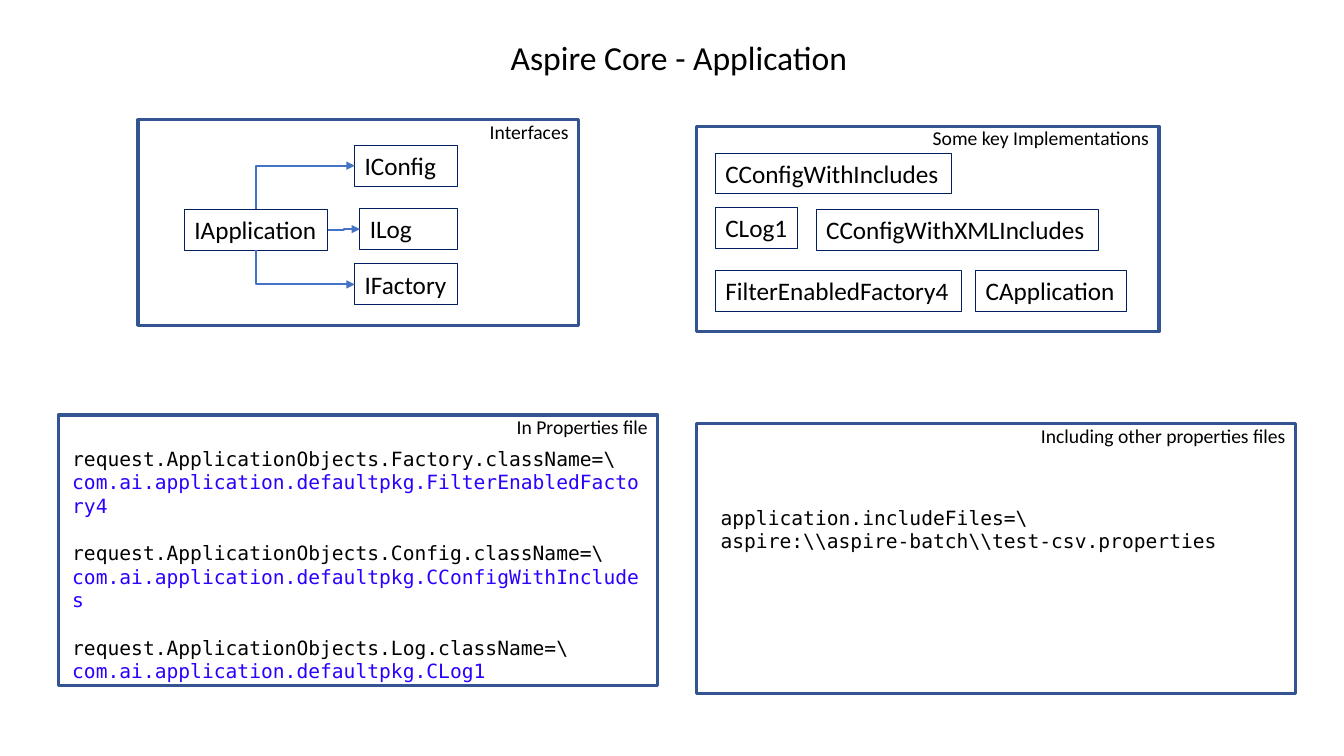
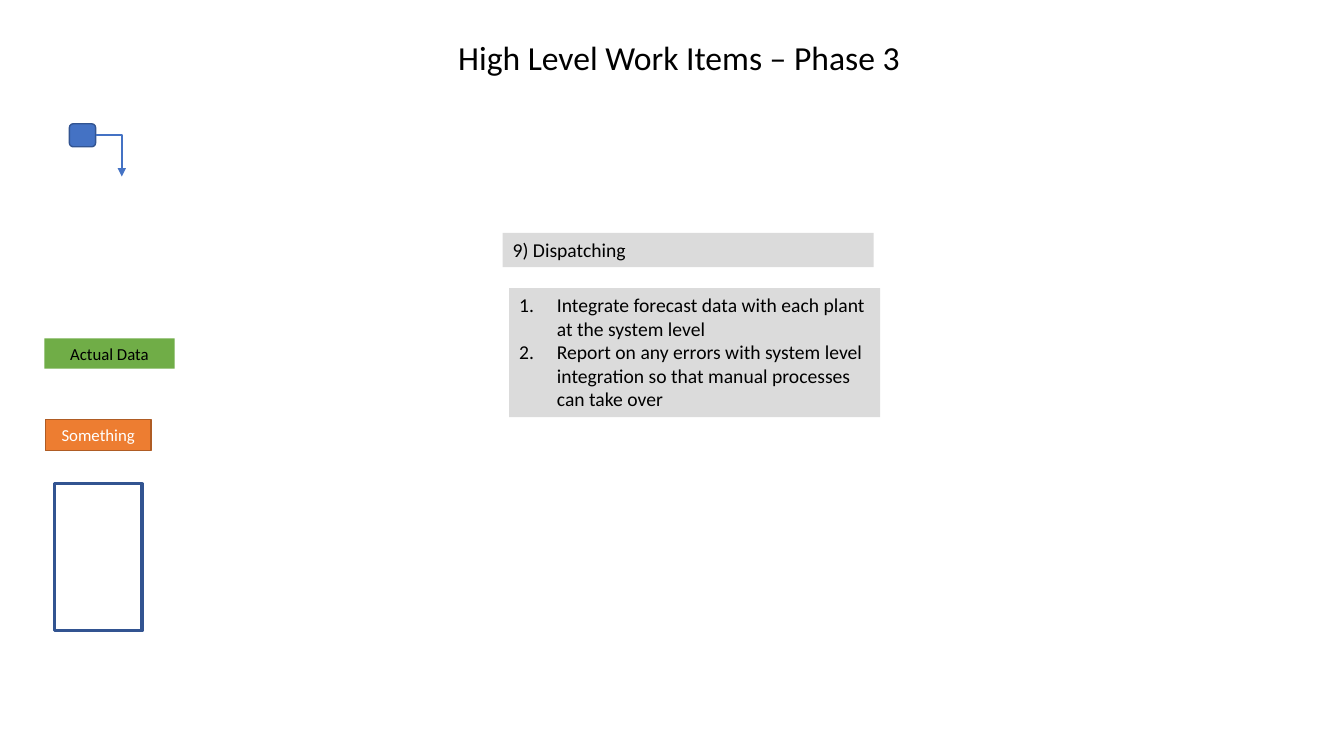
"""Build two slides: an application overview and the work items of phase 3."""
import dataclasses
import itertools

import pptx
import pptx.dml.color
import pptx.enum.shapes
import pptx.enum.text
import pptx.oxml.ns
import pptx.util
from lxml import etree

Cm, Pt = pptx.util.Cm, pptx.util.Pt
Align = pptx.enum.text.PP_ALIGN
Anchor = pptx.enum.text.MSO_ANCHOR
AutoSize = pptx.enum.text.MSO_AUTO_SIZE
Preset = pptx.enum.shapes.MSO_SHAPE
qn = pptx.oxml.ns.qn
TOP, LEFT, BOTTOM, RIGHT = range(4)


@dataclasses.dataclass(frozen=True)
class Theme:
    """Colours, fonts, type sizes and line widths of the deck."""
    ink: str = "000000"
    paper: str = "FFFFFF"
    frame: str = "325491"
    label: str = "002060"
    accent: str = "4472C4"
    code: str = "2A00FF"
    panel: str = "DBDBDB"
    green: str = "70AD47"
    orange: str = "ED7D31"
    rust: str = "AF5C24"
    sans: str = "Calibri"
    mono: str = "DejaVu Sans Mono"
    title_size: int = 24
    label_size: int = 18
    body_size: int = 14
    tag_size: int = 12
    frame_width: float = 2.25
    arrow_width: float = 1.5
    tag_width: float = 1
    label_width: float = 0.75


THEME = Theme()


def rgb(color):
    """Turn a hex string into a colour."""
    return pptx.dml.color.RGBColor.from_string(color)


def write_text(shape, text, *, size=THEME.body_size, colors=(THEME.ink,), font=THEME.sans,
               align=Align.LEFT, anchor=Anchor.TOP, wrap=True, grow=True):
    """Write one paragraph per line, cycling through the colours, and return the paragraphs."""
    frame = shape.text_frame
    frame.text = text
    frame.word_wrap = wrap
    frame.vertical_anchor = anchor
    frame.auto_size = AutoSize.SHAPE_TO_FIT_TEXT if grow else AutoSize.NONE
    for paragraph, color in zip(frame.paragraphs, itertools.cycle(colors)):
        paragraph.alignment = align
        paragraph.space_before = Pt(0)
        for run in paragraph.runs:
            run.font.name = font
            run.font.size = Pt(size)
            run.font.color.rgb = rgb(color)
    return frame.paragraphs


def place(shape, *box):
    """Move and size a shape, in centimetres."""
    shape.left, shape.top, shape.width, shape.height = map(Cm, box)


def add_box(slide, box, *, fill=None, line=None, width=THEME.tag_width, preset=Preset.RECTANGLE):
    """Add a preset shape with an optional fill and outline."""
    shape = slide.shapes.add_shape(preset, *map(Cm, box))
    shape.shadow.inherit = False
    if fill:
        shape.fill.solid()
        shape.fill.fore_color.rgb = rgb(fill)
    else:
        shape.fill.background()
    if line:
        shape.line.color.rgb = rgb(line)
        shape.line.width = Pt(width)
    else:
        shape.line.fill.background()
    return shape


def add_frame(slide, box, caption="", fill=None):
    """Add an outlined area with its caption at the top right."""
    frame = add_box(slide, box, fill=fill, line=THEME.frame, width=THEME.frame_width)
    if caption:
        frame.text_frame.margin_top = 0
        write_text(frame, caption, align=Align.RIGHT, grow=False)


def add_label(slide, name, left, top, width, wrap=False):
    """Add an outlined box with the name of a type."""
    label = add_box(slide, (left, top, width, 1.03), line=THEME.label, width=THEME.label_width)
    write_text(label, name, size=THEME.label_size, wrap=wrap)
    return label


def add_code(slide, box, text, colors=(THEME.ink,)):
    """Add a monospaced text block and return its paragraphs."""
    block = slide.shapes.add_textbox(*map(Cm, box))
    return write_text(block, text, font=THEME.mono, colors=colors)


def add_elbow(slide, source, site, *, target=None, end=(0, 0), corner=True):
    """Add a bent arrow from a shape to a target's left side or to a free point."""
    arrow = slide.shapes.add_connector(
        pptx.enum.shapes.MSO_CONNECTOR.ELBOW, 0, 0, *map(Cm, end))
    arrow.begin_connect(source, site)
    if target is not None:
        arrow.end_connect(target, LEFT)
    properties = arrow.line._get_or_add_ln().getparent()
    if corner:
        properties.find(qn("a:prstGeom")).set("prst", "bentConnector2")
    if site in (TOP, BOTTOM):
        turn_quarter(arrow)
        properties.find(qn("a:xfrm")).set("rot", str(90 * 60000))
    arrow.line.color.rgb = rgb(THEME.accent)
    arrow.line.width = Pt(THEME.arrow_width)
    etree.SubElement(properties.find(qn("a:ln")), qn("a:tailEnd"), type="triangle")
    etree.SubElement(properties, qn("a:effectLst"))


def turn_quarter(arrow):
    """Turn the ends a quarter back about their centre, so that a rotation restores them."""
    begin, end = (arrow.begin_x, arrow.begin_y), (arrow.end_x, arrow.end_y)
    center_x, center_y = ((a + b) // 2 for a, b in zip(begin, end))
    arrow.begin_x = center_x + begin[1] - center_y
    arrow.begin_y = center_y - begin[0] + center_x
    arrow.end_x = center_x + end[1] - center_y
    arrow.end_y = center_y - end[0] + center_x


def number_items(paragraphs):
    """Give paragraphs automatic numbers and a hanging indent."""
    indent = Cm(0.95)
    for paragraph in paragraphs:
        properties = paragraph._p.get_or_add_pPr()
        properties.set("marL", str(indent))
        properties.set("indent", str(-indent))
        etree.SubElement(properties, qn("a:buFont"), typeface="+mj-lt")
        etree.SubElement(properties, qn("a:buAutoNum"), type="arabicPeriod")


def add_slide(deck, layout, title, title_width):
    """Add a slide with the shared title style."""
    slide = deck.slides.add_slide(deck.slide_layouts.get_by_name(layout))
    heading = slide.shapes.title
    place(heading, 17.11 - title_width / 2, 0.81, title_width, 1.27)
    write_text(heading, title, size=THEME.title_size, align=Align.CENTER, wrap=False)
    return slide


def build_application(deck):
    """Build the slide on interfaces, implementations and properties."""
    slide = add_slide(deck, "Title Only", "Aspire Core - Application", 9.07)
    add_frame(slide, (3.48, 3.02, 11.1, 5.18), "Interfaces", fill=THEME.paper)
    add_frame(slide, (17.55, 3.18, 11.66, 5.18), "Some key Implementations")
    add_frame(slide, (1.47, 10.46, 15.11, 6.81), "In Properties file")
    add_frame(slide, (17.55, 10.67, 15.11, 6.81), "Including other properties files")

    application = add_label(slide, "IApplication", 4.65, 5.28, 3.61)
    config = add_label(slide, "IConfig", 8.94, 3.66, 2.59, wrap=True)
    log = add_label(slide, "ILog", 9.07, 5.26, 2.46, wrap=True)
    factory = add_label(slide, "IFactory", 8.94, 6.65, 2.59)
    add_elbow(slide, application, TOP, target=config)
    add_elbow(slide, application, BOTTOM, target=factory)
    add_elbow(slide, application, RIGHT, target=log, corner=False)

    for implementation in (
        ("CConfigWithIncludes", 18.03, 3.86, 5.94),
        ("CLog1", 18.03, 5.23, 2.08),
        ("CConfigWithXMLIncludes", 20.57, 5.28, 7.11),
        ("FilterEnabledFactory4", 18.03, 6.81, 6.2),
        ("CApplication", 24.59, 6.81, 3.81),
    ):
        add_label(slide, *implementation)

    class_names = {"Factory": "FilterEnabledFactory4", "Config": "CConfigWithIncludes",
                   "Log": "CLog1"}
    entries = [f"request.ApplicationObjects.{role}.className=\\\n"
               f"com.ai.application.defaultpkg.{name}" for role, name in class_names.items()]
    lines = add_code(slide, (1.57, 11.13, 15.01, 5.05), "\n".join(entries),
                     colors=(THEME.ink, THEME.code))
    for key in lines[2::2]:
        key.space_before = Pt(17)
    add_code(slide, (17.91, 12.62, 14.33, 1.45),
             "application.includeFiles=\\\naspire:\\\\aspire-batch\\\\test-csv.properties")


def build_work_items(deck):
    """Build the slide on the work items of phase 3."""
    slide = add_slide(deck, "Title and Content", "High Level Work Items – Phase 3", 11.73)
    tasks = slide.placeholders[1]
    place(tasks, 12.83, 7.26, 9.35, 3.25)
    tasks.fill.solid()
    tasks.fill.fore_color.rgb = rgb(THEME.panel)
    number_items(write_text(
        tasks, "Integrate forecast data with each plant at the system level\n"
        "Report on any errors with system level integration so that manual processes "
        "can take over", grow=False))
    dispatching = add_box(slide, (12.67, 5.87, 9.35, 0.86), fill=THEME.panel)
    write_text(dispatching, "9) Dispatching")

    node = add_box(slide, (1.75, 3.12, 0.66, 0.58), fill=THEME.accent, line=THEME.frame,
                   preset=Preset.ROUNDED_RECTANGLE)
    add_elbow(slide, node, RIGHT, end=(3.07, 4.45))
    actual = add_box(slide, (1.12, 8.53, 3.28, 0.76), fill=THEME.green)
    write_text(actual, "Actual Data", size=THEME.tag_size, align=Align.CENTER)
    something = add_box(slide, (1.14, 10.57, 2.67, 0.79), fill=THEME.orange, line=THEME.rust)
    write_text(something, "Something", size=THEME.tag_size, colors=(THEME.paper,),
               align=Align.CENTER, anchor=Anchor.MIDDLE, grow=False)
    add_frame(slide, (1.37, 12.19, 2.21, 3.71), fill=THEME.paper)


def main():
    """Build and save the deck."""
    deck = pptx.Presentation()
    deck.slide_width, deck.slide_height = Cm(33.87), Cm(19.05)
    build_application(deck)
    build_work_items(deck)
    deck.save("out.pptx")


if __name__ == "__main__":
    main()
